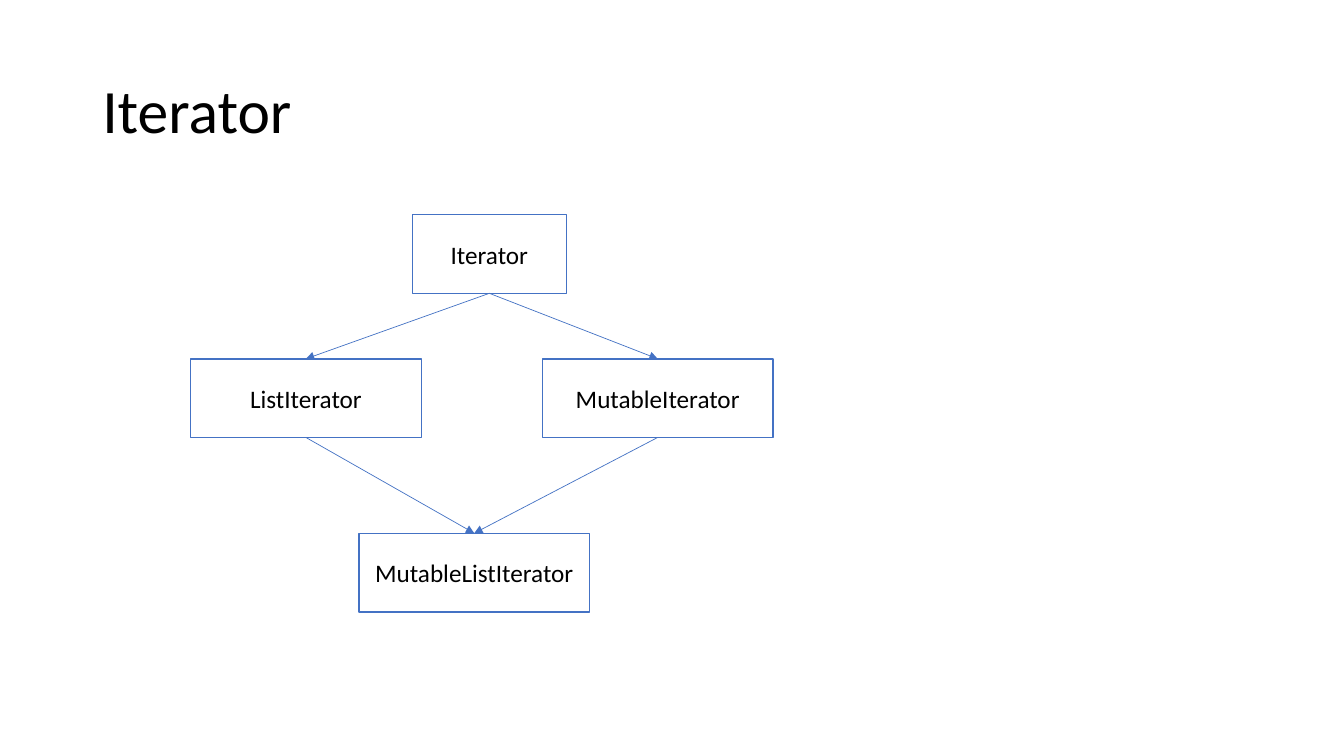
from dataclasses import dataclass

from lxml import etree
from pptx import Presentation
from pptx.dml.color import RGBColor
from pptx.enum.shapes import MSO_CONNECTOR, MSO_SHAPE
from pptx.enum.text import MSO_ANCHOR, PP_ALIGN
from pptx.oxml.ns import qn
from pptx.util import Pt

RECTANGLE = MSO_SHAPE.RECTANGLE
STRAIGHT = MSO_CONNECTOR.STRAIGHT
MIDDLE = MSO_ANCHOR.MIDDLE
LEFT, CENTER = PP_ALIGN.LEFT, PP_ALIGN.CENTER
TOP_SITE, BOTTOM_SITE = 0, 2


@dataclass(frozen=True)
class Theme:
    font: str = "Calibri"
    ink: RGBColor = RGBColor(0x00, 0x00, 0x00)
    paper: RGBColor = RGBColor(0xFF, 0xFF, 0xFF)
    accent: RGBColor = RGBColor(0x44, 0x72, 0xC4)
    title_size: float = 44
    label_size: float = 18
    border: float = 1
    arrow: float = 0.5


THEME = Theme()
TYPE_HEIGHT = 56.16
TYPES = {
    "Iterator": (158.4, 0, 110.16),
    "ListIterator": (0, 102.96, 164.88),
    "MutableIterator": (251.28, 102.96, 164.88),
    "MutableListIterator": (120.24, 227.52, 164.88),
}
INHERITANCE = [
    ("Iterator", "ListIterator"),
    ("Iterator", "MutableIterator"),
    ("ListIterator", "MutableListIterator"),
    ("MutableIterator", "MutableListIterator"),
]


def write(frame, wording, size, alignment, spacing=1.0):
    frame.word_wrap = True
    frame.vertical_anchor = MIDDLE
    paragraph = frame.paragraphs[0]
    paragraph.text = wording
    paragraph.alignment = alignment
    paragraph.line_spacing = spacing
    font = paragraph.runs[0].font
    for attribute, value in {"name": THEME.font, "size": Pt(size)}.items():
        setattr(font, attribute, value)
    font.color.rgb = THEME.ink


def add_title(slide, box, wording):
    title = slide.shapes.add_textbox(*map(Pt, box))
    write(title.text_frame, wording, THEME.title_size, LEFT, 0.9)


def add_type(slide, box, name):
    node = slide.shapes.add_shape(RECTANGLE, *map(Pt, box))
    node.shadow.inherit = False
    node.fill.solid()
    node.fill.fore_color.rgb = THEME.paper
    node.line.color.rgb = THEME.accent
    node.line.width = Pt(THEME.border)
    write(node.text_frame, name, THEME.label_size, CENTER)
    return node


def add_arrow(slide, parent, child):
    arrow = slide.shapes.add_connector(STRAIGHT, 0, 0, 0, 0)
    arrow.begin_connect(parent, BOTTOM_SITE)
    arrow.end_connect(child, TOP_SITE)
    arrow.line.color.rgb = THEME.accent
    arrow.line.width = Pt(THEME.arrow)
    etree.SubElement(arrow.line._get_or_add_ln(), qn("a:tailEnd"), type="triangle")
    etree.SubElement(arrow._element.spPr, qn("a:effectLst"))


def add_hierarchy(slide, box):
    left, top = box[:2]
    nodes = {
        name: add_type(slide, (left + x, top + y, width, TYPE_HEIGHT), name)
        for name, (x, y, width) in TYPES.items()
    }
    for parent, child in INHERITANCE:
        add_arrow(slide, nodes[parent], nodes[child])


def main():
    deck = Presentation()
    deck.slide_width, deck.slide_height = Pt(960), Pt(540)
    slide = deck.slides.add_slide(deck.slide_layouts[6])
    add_title(slide, (66, 28.8, 828, 104.4), "Iterator")
    add_hierarchy(slide, (136.08, 153.36))
    deck.save("out.pptx")


if __name__ == "__main__":
    main()
